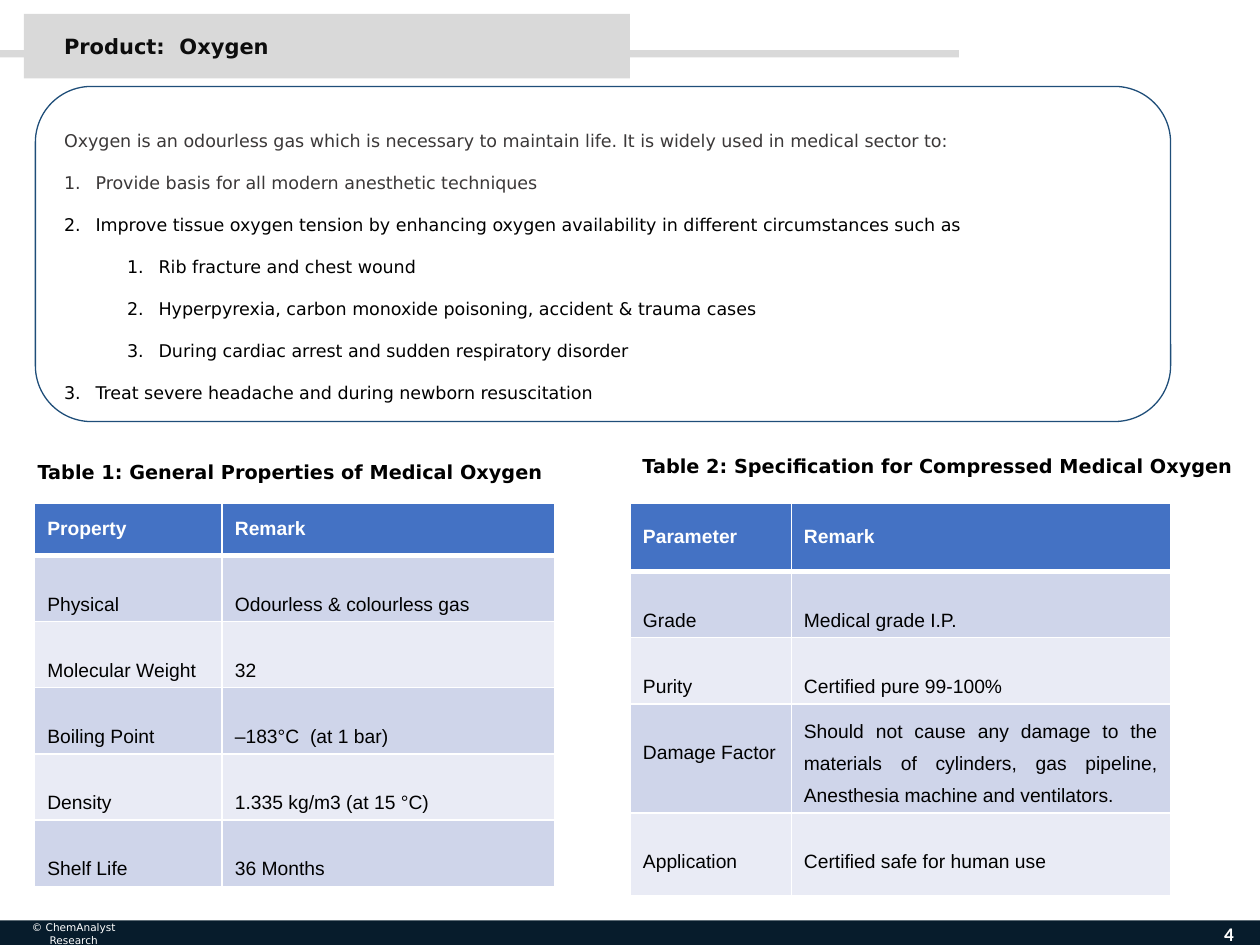
from dataclasses import dataclass

from lxml.etree import SubElement
from pptx import Presentation
from pptx.dml.color import RGBColor
from pptx.enum.shapes import MSO_SHAPE
from pptx.enum.text import MSO_ANCHOR, PP_ALIGN
from pptx.oxml.ns import qn
from pptx.util import Pt

COLORS = {
    "band": "D9D9D9",
    "footer": "071C2C",
    "white": "FFFFFF",
    "title": "0D0D0D",
    "intro": "3B3838",
    "black": "000000",
    "outline": "1F4E79",
    "header": "4472C4",
    "odd_row": "CFD5EA",
    "even_row": "E9EBF5",
}
BODY_FONT = "DejaVu Sans"
TABLE_FONT = "Arial"


@dataclass
class Box:
    left: float
    top: float
    width: float
    height: float

    def lengths(self) -> tuple:
        return Pt(self.left), Pt(self.top), Pt(self.width), Pt(self.height)


@dataclass
class Bar:
    box: Box
    color: str


@dataclass
class Label:
    text: str
    box: Box
    size: float
    color: str
    bold: bool = True
    font: str = BODY_FONT
    align: PP_ALIGN = PP_ALIGN.LEFT
    anchor: MSO_ANCHOR = MSO_ANCHOR.MIDDLE


@dataclass
class Use:
    text: str
    color: str = "black"
    level: int = 0
    numbered: bool = True


@dataclass
class PropertyTable:
    box: Box
    widths: list
    heights: list
    rows: list


BARS = [
    Bar(Box(0, 28.6, 548, 4.3), "band"),
    Bar(Box(13.7, 8, 346.3, 36.9), "band"),
    Bar(Box(0, 526, 720, 14), "footer"),
]
LABELS = [
    Label("© ChemAnalyst Research", Box(0, 528, 84.2, 10.8), 6, "white", False,
          align=PP_ALIGN.CENTER),
    Label("4", Box(684.7, 519, 35.3, 28.8), 11, "white", font="Calibri",
          align=PP_ALIGN.CENTER),
    Label("Product:  Oxygen", Box(29.5, 15.8, 397.4, 21.6), 12, "title"),
    Label("Table 1: General Properties of Medical Oxygen",
          Box(14.4, 259.2, 355.7, 20.9), 11, "black", anchor=MSO_ANCHOR.TOP),
    Label("Table 2: Specification for Compressed Medical Oxygen",
          Box(360, 256.3, 355.7, 20.9), 11, "black", anchor=MSO_ANCHOR.TOP),
]
USES = [
    Use("Oxygen is an odourless gas which is necessary to maintain life. "
        "It is widely used in medical sector to:", "intro", numbered=False),
    Use("Provide basis for all modern anesthetic techniques", "intro"),
    Use("Improve tissue oxygen tension by enhancing oxygen availability "
        "in different circumstances such as"),
    Use("Rib fracture and chest wound", level=1),
    Use("Hyperpyrexia, carbon monoxide poisoning, accident & trauma cases", level=1),
    Use("During cardiac arrest and sudden respiratory disorder", level=1),
    Use("Treat severe headache and during newborn resuscitation"),
]
TABLES = [
    PropertyTable(
        Box(19.8, 287.3, 297.4, 216), [107.2, 190.2], [30] + [37.2] * 5,
        [("Property", "Remark"),
         ("Physical", "Odourless & colourless gas"),
         ("Molecular Weight", "32"),
         ("Boiling Point", "–183°C  (at 1 bar)"),
         ("Density", "1.335 kg/m3 (at 15 °C)"),
         ("Shelf Life", "36 Months")]),
    PropertyTable(
        Box(360.2, 287.3, 308.6, 219.6), [92, 216.6], [39.2, 34, 34, 62, 47.5],
        [("Parameter", "Remark"),
         ("Grade", "Medical grade I.P."),
         ("Purity", "Certified pure 99-100%"),
         ("Damage Factor", "Should not cause any damage to the materials of cylinders, "
                           "gas pipeline, Anesthesia machine and ventilators."),
         ("Application", "Certified safe for human use")]),
]
WRAPPED_LENGTH = 60


def rgb(color: str) -> RGBColor:
    return RGBColor.from_string(COLORS[color])


def format_runs(paragraph, font: str, size: float, color: str, bold: bool = False) -> None:
    for run in paragraph.runs:
        run.font.name = font
        run.font.size = Pt(size)
        run.font.bold = bold
        run.font.color.rgb = rgb(color)


def draw_bar(slide, bar: Bar) -> None:
    band = slide.shapes.add_shape(MSO_SHAPE.RECTANGLE, *bar.box.lengths())
    band.shadow.inherit = False
    band.fill.solid()
    band.fill.fore_color.rgb = rgb(bar.color)
    band.line.fill.background()


def draw_label(slide, label: Label) -> None:
    frame = slide.shapes.add_textbox(*label.box.lengths()).text_frame
    frame.word_wrap = True
    frame.vertical_anchor = label.anchor
    frame.text = label.text
    frame.paragraphs[0].alignment = label.align
    format_runs(frame.paragraphs[0], label.font, label.size, label.color, label.bold)


def number_paragraph(paragraph, level: int) -> None:
    paragraph.level = level
    properties = paragraph._p.get_or_add_pPr()
    properties.set("marL", str(Pt(18 + 36 * level)))
    properties.set("indent", str(-Pt(18)))
    SubElement(properties, qn("a:buFont"), typeface="+mj-lt")
    SubElement(properties, qn("a:buAutoNum"), type="arabicPeriod")


def draw_uses(slide, box: Box, uses: list[Use]) -> None:
    panel = slide.shapes.add_shape(MSO_SHAPE.ROUNDED_RECTANGLE, *box.lengths())
    panel.shadow.inherit = False
    panel.fill.background()
    panel.line.color.rgb = rgb("outline")
    panel.line.width = Pt(0.75)
    frame = panel.text_frame
    frame.word_wrap = True
    frame.vertical_anchor = MSO_ANCHOR.TOP
    frame.text = "\n".join(use.text for use in uses)
    for paragraph, use in zip(frame.paragraphs, uses):
        if use.numbered:
            number_paragraph(paragraph, use.level)
        paragraph.alignment = PP_ALIGN.JUSTIFY
        paragraph.line_spacing = 2.0
        format_runs(paragraph, BODY_FONT, 10, use.color)


def add_borders(cell, row: int) -> None:
    widths = {"L": 1, "R": 1, "T": 3 if row == 1 else 1, "B": 3 if row == 0 else 1}
    for side, width in widths.items():
        border = SubElement(cell._tc.get_or_add_tcPr(), qn(f"a:ln{side}"), w=str(Pt(width)))
        fill = SubElement(border, qn("a:solidFill"))
        SubElement(fill, qn("a:srgbClr"), val=COLORS["white"])


def fill_cell(cell, text: str, row: int) -> None:
    is_header = row == 0
    add_borders(cell, row)
    cell.fill.solid()
    cell.fill.fore_color.rgb = rgb(
        "header" if is_header else "odd_row" if row % 2 else "even_row")
    cell.vertical_anchor = MSO_ANCHOR.MIDDLE if is_header else MSO_ANCHOR.TOP
    cell.text_frame.text = text
    paragraph = cell.text_frame.paragraphs[0]
    if not is_header:
        is_wrapped = len(text) > WRAPPED_LENGTH
        paragraph.line_spacing = 1.5 if is_wrapped else 2.5
        paragraph.alignment = PP_ALIGN.JUSTIFY if is_wrapped else PP_ALIGN.LEFT
    format_runs(paragraph, TABLE_FONT, 11, "white" if is_header else "black", is_header)


def draw_table(slide, content: PropertyTable) -> None:
    table = slide.shapes.add_table(
        len(content.rows), len(content.widths), *content.box.lengths()).table
    table.horz_banding = False
    for column, width in zip(table.columns, content.widths):
        column.width = Pt(width)
    for row, (height, texts) in enumerate(zip(content.heights, content.rows)):
        table.rows[row].height = Pt(height)
        for column, text in enumerate(texts):
            fill_cell(table.cell(row, column), text, row)


def main() -> None:
    presentation = Presentation()
    presentation.slide_width = Pt(720)
    presentation.slide_height = Pt(540)
    slide = presentation.slides.add_slide(presentation.slide_layouts[6])
    for bar in BARS:
        draw_bar(slide, bar)
    draw_uses(slide, Box(20.2, 49.4, 648.7, 191.5), USES)
    for content in TABLES:
        draw_table(slide, content)
    for label in LABELS:
        draw_label(slide, label)
    presentation.save("out.pptx")


if __name__ == "__main__":
    main()
